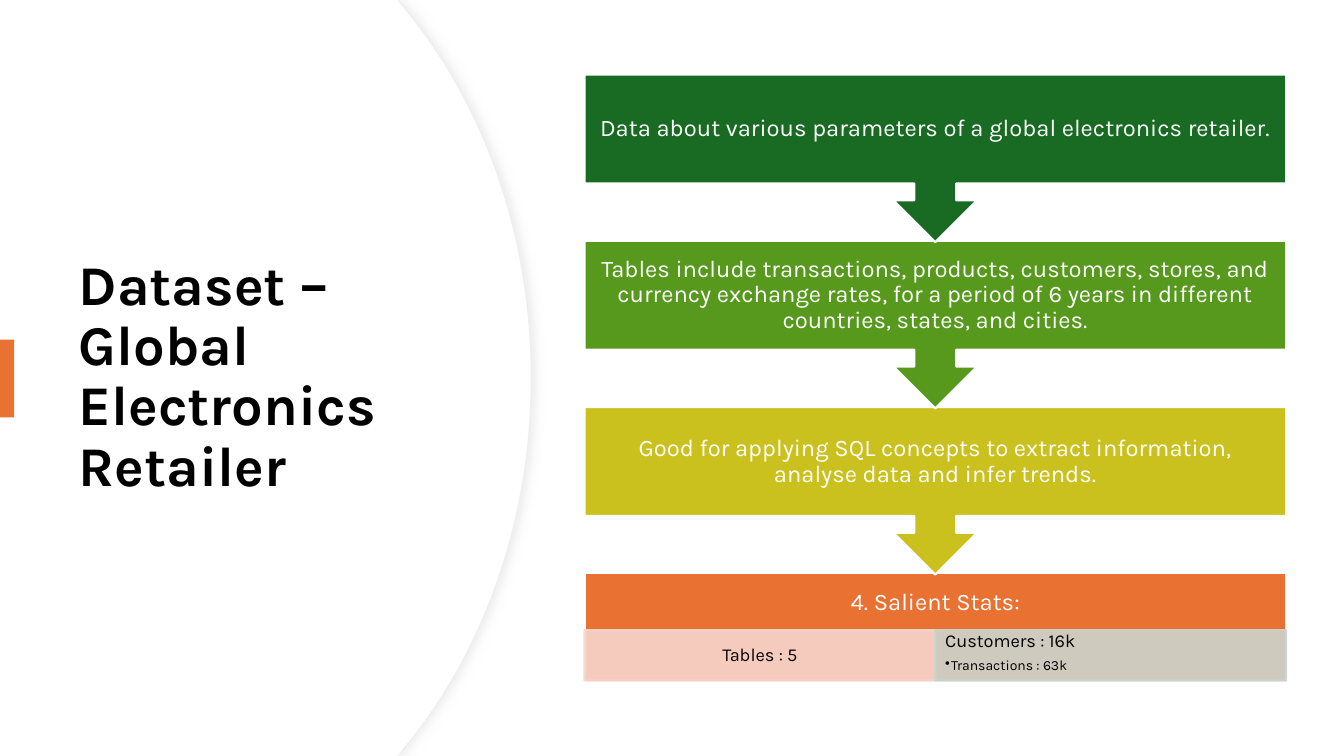
from lxml import etree
from pptx import Presentation
from pptx.dml.color import RGBColor
from pptx.enum.shapes import MSO_SHAPE
from pptx.enum.text import MSO_ANCHOR, MSO_AUTO_SIZE, PP_ALIGN
from pptx.oxml.ns import qn
from pptx.util import Cm, Pt

RECTANGLE, CALLOUT = MSO_SHAPE.RECTANGLE, MSO_SHAPE.UP_ARROW_CALLOUT
TOP, MIDDLE = MSO_ANCHOR.TOP, MSO_ANCHOR.MIDDLE
LEFT, CENTER = PP_ALIGN.LEFT, PP_ALIGN.CENTER

# Content
TITLE = "Dataset – Global Electronics Retailer"
STEPS = [
    ("Data about various parameters of a global electronics retailer.", "196B24"),
    ("Tables include transactions, products, customers, stores, and currency "
     "exchange rates, for a period of 6 years in different countries, states, "
     "and cities.", "56991D"),
    ("Good for applying SQL concepts to extract information, analyse data and "
     "infer trends.", "CBC11E"),
]
STATS_TITLE = "4. Salient Stats:"
TABLES_STAT = "Tables : 5"
CUSTOMERS_STAT = "Customers : 16k"
TRANSACTIONS_STAT = "Transactions : 63k"
ORANGE, WHITE, BLACK = "E97132", "FFFFFF", "000000"
CELL_COLORS = ["F7D5CE", "CCD4CD"]

# Layout, in centimetres
SLIDE_WIDTH, SLIDE_HEIGHT = 33.87, 19.05
FLOW_LEFT, FLOW_TOP, FLOW_WIDTH = 14.73, 1.88, 17.68
STEP_PITCH, CALLOUT_HEIGHT, BOX_HEIGHT = 4.19, 4.22, 2.74
STATS_HEAD_HEIGHT, CELL_OFFSET, CELL_HEIGHT = 1.47, 1.43, 1.27
ARC = [(10.19, 0.2), (12.17, 2.59), (13.39, 5.89), (13.39, 9.53)]
ARC_START, ARC_STEPS = 10.01, 30


def rgb(color):
    return RGBColor.from_string(color)


def add_child(parent, tag, **attributes):
    child = etree.SubElement(parent, qn(tag))
    for name, value in attributes.items():
        child.set(name, str(value))
    return child


def paint(shape, fill, line=None, width=1.5, opacity=100):
    shape.shadow.inherit = False
    shape.fill.solid()
    shape.fill.fore_color.rgb = rgb(fill)
    if line:
        shape.line.color.rgb = rgb(line)
        shape.line.width = Pt(width)
    else:
        shape.line.fill.background()
    if opacity < 100:
        for color in shape._element.spPr.iter(qn("a:srgbClr")):
            add_child(color, "a:alpha", val=opacity * 1000)


def add_block(kind, left, top, width, height, fill, **style):
    shape = slide.shapes.add_shape(kind, Cm(left), Cm(top), Cm(width), Cm(height))
    paint(shape, fill, **style)
    return shape


def write(para, text, size=17, color=WHITE, bold=False, align=CENTER, after=0, bullet=None):
    if bullet:
        properties = para._p.get_or_add_pPr()
        properties.set("marL", str(Cm(0.15)))
        properties.set("indent", str(-Cm(0.15)))
        add_child(properties, "a:buChar", char=bullet)
    para.alignment = align
    para.line_spacing = 0.9
    para.space_after = Pt(after)
    span = para.add_run()
    span.text = text
    span.font.name = "Karla"
    span.font.size = Pt(size)
    span.font.bold = bold
    span.font.color.rgb = rgb(color)


def add_text_frame(left, top, width, height, side=0.33, edge=0.33, anchor=MIDDLE):
    box = slide.shapes.add_textbox(Cm(left), Cm(top), Cm(width), Cm(height))
    frame = box.text_frame
    frame.word_wrap = True
    frame.vertical_anchor = anchor
    frame.margin_left = frame.margin_right = Cm(side)
    frame.margin_top = frame.margin_bottom = Cm(edge)
    return frame


def add_panel(shift, **style):
    """Left panel whose right side is a curve mirrored about mid-height."""
    upper = [(ARC_START, 0)]
    for step in range(ARC_STEPS + 1):
        t = step / ARC_STEPS
        weights = ((1 - t) ** 3, 3 * t * (1 - t) ** 2, 3 * t * t * (1 - t), t ** 3)
        x, y = (sum(w * point[axis] for w, point in zip(weights, ARC)) for axis in (0, 1))
        upper.append((x + shift, y))
    lower = [(x, SLIDE_HEIGHT - y) for x, y in reversed(upper)]
    outline = [(Cm(x), Cm(y)) for x, y in upper + lower + [(0, SLIDE_HEIGHT)]]
    builder = slide.shapes.build_freeform(0, 0)
    builder.add_line_segments(outline, close=True)
    panel = builder.convert_to_shape()
    paint(panel, WHITE, **style)
    return panel


deck = Presentation()
deck.slide_width, deck.slide_height = Cm(SLIDE_WIDTH), Cm(SLIDE_HEIGHT)
slide = deck.slides.add_slide(deck.slide_layouts[5])

# Curved panel with a soft shadow
panel = add_panel(0, line="EFEFEF", width=0.75)
effects = panel._element.spPr.find(qn("a:effectLst"))
shadow = add_child(effects, "a:outerShdw", blurRad=Pt(7), dist=Pt(3), dir=0)
add_child(add_child(shadow, "a:srgbClr", val="D9D9D9"), "a:alpha", val=50000)
add_panel(-0.03)

# Title, raised above the panel
title = slide.shapes.title
slide.shapes._spTree.append(title._element)
title.left, title.top, title.width, title.height = Cm(1.73), Cm(3.23), Cm(10.01), Cm(12.57)
title.text_frame.word_wrap = True
title.text_frame.auto_size = MSO_AUTO_SIZE.NONE
title.text_frame.vertical_anchor = MIDDLE
write(title.text_frame.paragraphs[0], TITLE, size=40, color=BLACK, bold=True, align=LEFT)
add_block(RECTANGLE, 0, 8.56, 0.36, 1.96, ORANGE)

# Stats block at the end of the flow
stats_top = FLOW_TOP + len(STEPS) * STEP_PITCH
add_block(RECTANGLE, FLOW_LEFT, stats_top, FLOW_WIDTH, BOX_HEIGHT, ORANGE, line=WHITE)
heading = add_text_frame(FLOW_LEFT, stats_top, FLOW_WIDTH, STATS_HEAD_HEIGHT)
write(heading.paragraphs[0], STATS_TITLE)

cell_width = FLOW_WIDTH / 2
cells = []
for index, color in enumerate(CELL_COLORS):
    place = (FLOW_LEFT + index * cell_width, stats_top + CELL_OFFSET, cell_width, CELL_HEIGHT)
    add_block(RECTANGLE, *place, color, line=color, opacity=90)
    cells.append(add_text_frame(*place, side=0.25, edge=0.05, anchor=TOP if index else MIDDLE))
tables_cell, customers_cell = cells
write(tables_cell.paragraphs[0], TABLES_STAT, size=13, color=BLACK)
write(customers_cell.paragraphs[0], CUSTOMERS_STAT, size=13, color=BLACK, align=LEFT, after=4.5)
write(customers_cell.add_paragraph(), TRANSACTIONS_STAT, size=10, color=BLACK, align=LEFT,
      bullet="•")

# Steps, drawn upwards so each arrow tip overlaps the next box
for index, (text, color) in reversed(list(enumerate(STEPS))):
    top = FLOW_TOP + index * STEP_PITCH
    callout = add_block(CALLOUT, FLOW_LEFT, top, FLOW_WIDTH, CALLOUT_HEIGHT, color, line=WHITE)
    callout.rotation = 180
    frame = add_text_frame(FLOW_LEFT, top, FLOW_WIDTH, BOX_HEIGHT)
    write(frame.paragraphs[0], text)

deck.save("out.pptx")
